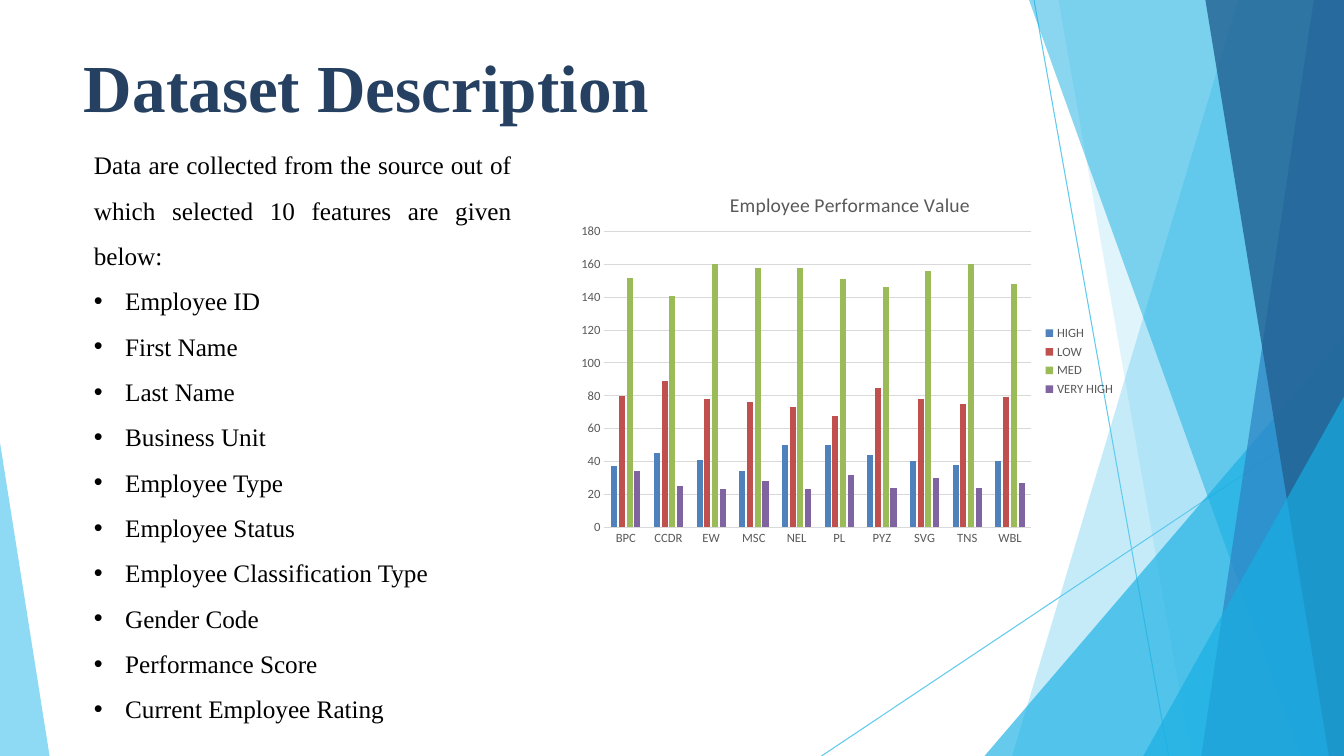
from dataclasses import dataclass

from lxml import etree
from pptx import Presentation
from pptx import util as u
from pptx.chart import data as chart_data
from pptx.dml import color
from pptx.enum import chart as ch
from pptx.enum import shapes, text
from pptx.oxml import ns

COLUMNS, ROWS = 16, 9


@dataclass(frozen=True)
class Theme:
    serif: str = "Times New Roman"
    sans: str = "Calibri"
    heading: str = "254061"
    body: str = "000000"
    muted: str = "595959"
    rule: str = "D9D9D9"
    sky: str = "5FCAEE"
    cyan: str = "17AFE3"
    blue: str = "2D83C3"
    navy: str = "226192"
    series: tuple = ("4F81BD", "C0504D", "9BBB59", "8064A2")
    title_size: int = 48
    body_size: int = 18
    chart_size: int = 10
    chart_title_size: int = 14
    label_size: int = 9
    line_width: float = 0.75


def apply(target, **values):
    for name, value in values.items():
        setattr(target, name, value)


def rgb(code):
    return color.RGBColor.from_string(code)


def sub(parent, tag, **attributes):
    return etree.SubElement(parent, ns.qn(tag), attributes)


def set_font(font, size, code, face, bold=False):
    apply(font, size=u.Pt(size), name=face, bold=bold)
    font.color.rgb = rgb(code)


def place(element, index, **shares):
    """Fix a chart part at shares of the chart's size."""
    for old in element.findall(ns.qn("c:layout")):
        element.remove(old)
    layout = etree.Element(ns.qn("c:layout"))
    manual = sub(layout, "c:manualLayout")
    if "w" in shares:
        sub(manual, "c:layoutTarget", val="inner")
    for side in "xy":
        sub(manual, f"c:{side}Mode", val="edge")
    for name, share in shares.items():
        sub(manual, f"c:{name}", val=str(share))
    element.insert(index, layout)


class SlideBuilder:
    def __init__(self, deck, theme):
        self.theme = theme
        self.slide = deck.slides.add_slide(deck.slide_layouts[6])
        self.column = deck.slide_width / COLUMNS
        self.row = deck.slide_height / ROWS

    def grid(self, *values):
        """Turn column, row, column, row ... into lengths."""
        return [round(v * (self.row if i % 2 else self.column)) for i, v in enumerate(values)]

    def facet(self, corners, code, opacity):
        points = [tuple(self.grid(*corner)) for corner in corners]
        outline = self.slide.shapes.build_freeform(*points[0])
        outline.add_line_segments(points[1:], close=True)
        facet = outline.convert_to_shape()
        facet.shadow.inherit = False
        facet.line.fill.background()
        facet.fill.solid()
        facet.fill.fore_color.rgb = rgb(code)
        fill_color = facet.fill._xPr.find(f".//{ns.qn('a:srgbClr')}")
        sub(fill_color, "a:alpha", val=str(opacity * 1000))

    def line(self, *ends):
        line = self.slide.shapes.add_connector(shapes.MSO_CONNECTOR.STRAIGHT, *self.grid(*ends))
        line.line.color.rgb = rgb(self.theme.sky)
        line.line.width = u.Pt(self.theme.line_width)
        sub(line._element.spPr, "a:effectLst")

    def text_box(self, box, **frame_format):
        frame = self.slide.shapes.add_textbox(*self.grid(*box)).text_frame
        apply(frame, word_wrap=True, **frame_format)
        return frame

    def title(self, wording, box):
        frame = self.text_box(box, margin_left=0, margin_top=0, margin_right=0, margin_bottom=0,
                              vertical_anchor=text.MSO_ANCHOR.BOTTOM)
        run = frame.paragraphs[0].add_run()
        run.text = wording
        set_font(run.font, self.theme.title_size, self.theme.heading, self.theme.serif, True)

    def feature_list(self, intro, features, box):
        frame = self.text_box(box, auto_size=text.MSO_AUTO_SIZE.SHAPE_TO_FIT_TEXT)
        for i, wording in enumerate([intro, *features]):
            paragraph = frame.add_paragraph() if i else frame.paragraphs[0]
            apply(paragraph, alignment=text.PP_ALIGN.JUSTIFY, line_spacing=1.5)
            run = paragraph.add_run()
            run.text = wording
            set_font(run.font, self.theme.body_size, self.theme.body, self.theme.serif)
            if i:
                properties = paragraph._p.get_or_add_pPr()
                indent = u.Inches(0.31)
                properties.set("marL", str(indent))
                properties.set("indent", str(-indent))
                sub(properties, "a:buFont", typeface="Arial")
                sub(properties, "a:buChar", char="•")

    def column_chart(self, heading, categories, scores, box):
        theme = self.theme
        data = chart_data.CategoryChartData()
        data.categories = categories
        for level, values in scores.items():
            data.add_series(level, values)
        chart = self.slide.shapes.add_chart(
            ch.XL_CHART_TYPE.COLUMN_CLUSTERED, *self.grid(*box), data).chart
        set_font(chart.font, theme.chart_size, theme.body, theme.sans)

        # Columns
        plot = chart.plots[0]
        apply(plot, gap_width=219, overlap=-27, vary_by_categories=False)
        for series, code in zip(plot.series, theme.series):
            series.format.fill.solid()
            series.format.fill.fore_color.rgb = rgb(code)

        # Heading and legend
        chart.has_title = True
        run = chart.chart_title.text_frame.paragraphs[0].add_run()
        run.text = heading
        set_font(run.font, theme.chart_title_size, theme.muted, theme.sans)
        chart.has_legend = True
        apply(chart.legend, position=ch.XL_LEGEND_POSITION.RIGHT, include_in_layout=False)
        set_font(chart.legend.font, theme.label_size, theme.muted, theme.sans)

        # Axes
        for axis in (chart.category_axis, chart.value_axis):
            apply(axis, major_tick_mark=ch.XL_TICK_MARK.NONE, minor_tick_mark=ch.XL_TICK_MARK.NONE)
            set_font(axis.tick_labels.font, theme.label_size, theme.muted, theme.sans)
        apply(chart.value_axis, minimum_scale=0, maximum_scale=180, major_unit=20,
              has_major_gridlines=True)
        chart.value_axis.format.line.fill.background()
        for rule in (chart.category_axis.format.line, chart.value_axis.major_gridlines.format.line):
            rule.color.rgb = rgb(theme.rule)
            rule.width = u.Pt(theme.line_width)

        place(chart.chart_title._element, 1, x=0.28, y=0.05)
        place(chart._chartSpace.find(f".//{ns.qn('c:plotArea')}"), 0, x=0.06, y=0.165, w=0.77, h=0.765)


def main():
    deck = Presentation()
    apply(deck, slide_width=u.Inches(13.33), slide_height=u.Inches(7.5))
    theme = Theme()
    page = SlideBuilder(deck, theme)

    # Background: thin lines, then facets from the right edge
    page.line(12.31, 0, 13.91, ROWS)
    page.line(COLUMNS, 4.85, 9.78, ROWS)
    right_facets = [  # top at right edge, upper column, lower column, colour, opacity
        (0, 14.74, 12.05, theme.sky, 36),
        (0, 12.6, 14.18, theme.sky, 20),
        (4, COLUMNS, 11.72, theme.cyan, 66),
        (0, 12.25, 15.49, theme.cyan, 50),
        (0, 15.64, 14.3, theme.blue, 70),
        (0, 14.35, 15.82, theme.navy, 80),
        (4.72, COLUMNS, 13.61, theme.cyan, 66),
    ]
    for top, upper, lower, code, opacity in right_facets:
        corners = [(COLUMNS, top), (upper, top), (lower, ROWS), (COLUMNS, ROWS)]
        if upper == COLUMNS:
            corners.pop(1)
        page.facet(corners, code, opacity)
    page.facet([(0, 5.27), (0, ROWS), (0.59, ROWS)], theme.sky, 70)

    # Content
    page.title("Dataset Description", (1, 0.5, 14, 1))
    page.column_chart(
        "Employee Performance Value",
        ["BPC", "CCDR", "EW", "MSC", "NEL", "PL", "PYZ", "SVG", "TNS", "WBL"],
        {"HIGH": [37, 45, 41, 34, 50, 50, 44, 40, 38, 40],
         "LOW": [80, 89, 78, 76, 73, 68, 85, 78, 75, 79],
         "MED": [152, 141, 160, 158, 158, 151, 146, 156, 160, 148],
         "VERY HIGH": [34, 25, 23, 28, 23, 32, 24, 30, 24, 27]},
        (6.8, 2, 6.6, 4.6))
    page.feature_list(
        "Data are collected from the source out of which selected 10 features are given below:",
        ["Employee ID", "First Name", "Last Name", "Business Unit", "Employee Type",
         "Employee Status", "Employee Classification Type", "Gender Code",
         "Performance Score", "Current Employee Rating"],
        (1, 1.54, 5.21, 7.57))
    deck.save("out.pptx")


if __name__ == "__main__":
    main()
